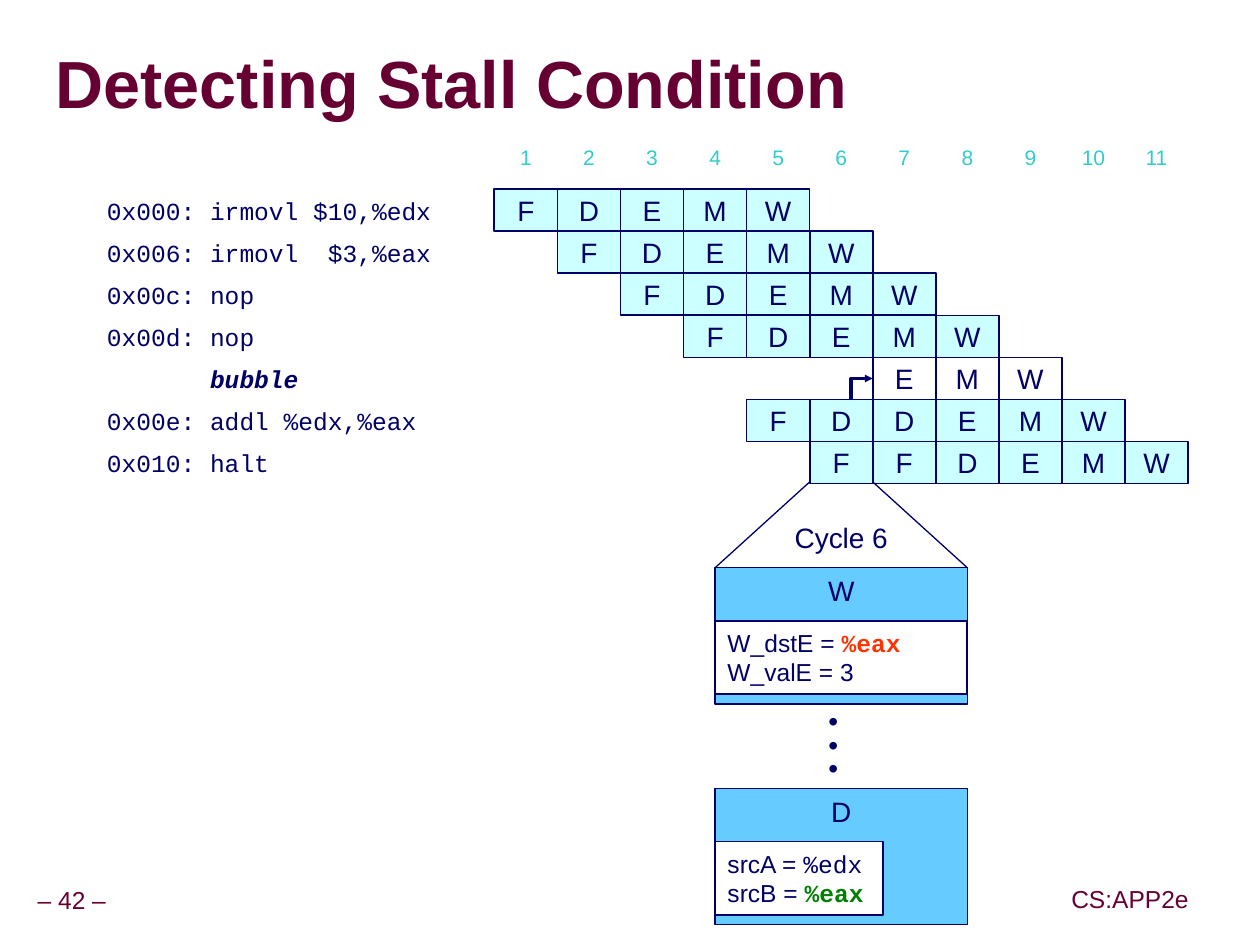
from dataclasses import dataclass

from lxml import etree
from pptx import Presentation
from pptx import util as u
from pptx.dml.color import RGBColor
from pptx.enum import shapes, text
from pptx.oxml import ns


@dataclass(frozen=True)
class Theme:
    heading: str = "660033"
    ink: str = "000066"
    cycle: str = "33CCCC"
    stage: str = "CCFFFF"
    panel: str = "66CCFF"
    paper: str = "FFFFFF"
    source_reg: str = "FF3300"
    target_reg: str = "008000"
    sans: str = "Arial"
    mono: str = "Courier New"
    title_size: int = 38
    stage_size: int = 16
    code_size: int = 14
    cycle_size: int = 12


THEME = Theme()
LEFT, CENTER = text.PP_ALIGN.LEFT, text.PP_ALIGN.CENTER
TOP, MIDDLE = text.MSO_ANCHOR.TOP, text.MSO_ANCHOR.MIDDLE


class PipelineSlide:
    def __init__(self, prs, theme):
        self.theme = theme
        self.slide = prs.slides.add_slide(prs.slide_layouts[6])

    def fill_text(self, holder, lines, size, color=None, font=None, align=LEFT,
                  anchor=MIDDLE, spacing=None, inset=None, wrap=False):
        """Each line is a list of (text, format overrides) runs."""
        frame = holder.text_frame
        frame_format = {"word_wrap": wrap, "vertical_anchor": anchor}
        if inset is not None:
            for side in ("left", "right", "top", "bottom"):
                frame_format[f"margin_{side}"] = u.Inches(inset)
        for key, value in frame_format.items():
            setattr(frame, key, value)
        for index, runs in enumerate(lines):
            para = frame.add_paragraph() if index else frame.paragraphs[0]
            para.alignment, para.line_spacing = align, spacing
            for words, changes in runs:
                run = para.add_run()
                run.text = words
                style = {"name": font or self.theme.sans, "size": u.Pt(size),
                         "bold": False, "color": color or self.theme.ink} | changes
                run.font.color.rgb = RGBColor.from_string(style.pop("color"))
                for key, value in style.items():
                    setattr(run.font, key, value)
        return holder

    def label(self, at, lines, size, **style):
        box = self.slide.shapes.add_textbox(*map(u.Inches, at))
        return self.fill_text(box, lines, size, **style)

    def outline(self, shape, width):
        shape.line.color.rgb = RGBColor.from_string(self.theme.ink)
        shape.line.width = u.Pt(width)

    def box(self, at, lines, size, fill=None, line=None, **style):
        rect = self.slide.shapes.add_shape(
            shapes.MSO_SHAPE.RECTANGLE, *map(u.Inches, at))
        rect.shadow.inherit = False
        if fill:
            rect.fill.solid()
            rect.fill.fore_color.rgb = RGBColor.from_string(fill)
        else:
            rect.fill.background()
        if line:
            self.outline(rect, line)
        else:
            rect.line.fill.background()
        return self.fill_text(rect, lines, size, **style)

    def line(self, start, end, width):
        ray = self.slide.shapes.add_connector(
            shapes.MSO_CONNECTOR.STRAIGHT, *map(u.Inches, start + end))
        self.outline(ray, width)
        etree.SubElement(ray._element.spPr, ns.qn("a:effectLst"))

    def bent_arrow(self, points, width):
        start, *rest = [tuple(map(u.Inches, point)) for point in points]
        builder = self.slide.shapes.build_freeform(*start)
        builder.add_line_segments(rest, close=False)
        arrow = builder.convert_to_shape()
        arrow.shadow.inherit = False
        arrow.fill.background()
        self.outline(arrow, width)
        outline = arrow._element.spPr.find(ns.qn("a:ln"))
        etree.SubElement(outline, ns.qn("a:tailEnd"),
                         type="triangle", w="sm", len="sm")

    def shadow_text(self, holder):
        fill = holder.text_frame.paragraphs[0].runs[0].font._element.find(
            ns.qn("a:solidFill"))
        effects = etree.Element(ns.qn("a:effectLst"))
        shadow = etree.SubElement(effects, ns.qn("a:outerShdw"),
                                  dist="50800", dir="2700000")
        etree.SubElement(shadow, ns.qn("a:srgbClr"), val="969696")
        fill.addnext(effects)


# Pipeline grid: one column per cycle, one row per instruction
GRID_LEFT, GRID_TOP, COL, ROW = 3.92, 1.5, 0.5, 1 / 3
CODE_LEFT, CODE_WIDTH = 0.75, 2.83
CYCLES = 11
BUBBLE = 4
PROGRAM = [  # code, first cycle, stages
    ("0x000: irmovl $10,%edx", 1, "FDEMW"),
    ("0x006: irmovl  $3,%eax", 2, "FDEMW"),
    ("0x00c: nop", 3, "FDEMW"),
    ("0x00d: nop", 4, "FDEMW"),
    ("       bubble", 7, "EMW"),
    ("0x00e: addl %edx,%eax", 5, "FDDEMW"),
    ("0x010: halt", 6, "FFDEMW"),
]


def cycle_x(cycle):
    return GRID_LEFT + COL * (cycle - 1)


def row_y(row):
    return GRID_TOP + ROW * row


def main():
    prs = Presentation()
    prs.slide_width, prs.slide_height = u.Inches(9.99), u.Inches(7.49)
    t = THEME
    page = PipelineSlide(prs, t)

    # Footer and title
    for at, words in (((0.24, 6.99, 0.66, 0.31), "– 42 –"),
                      ((8.44, 6.98, 1.04, 0.31), "CS:APP2e")):
        page.label(at, [[(words, {})]], t.code_size, color=t.heading,
                   align=CENTER, spacing=0.9, inset=0.05)
    title = page.label((0.44, 0.27, 9.52, 0.85),
                       [[("Detecting Stall Condition", {"bold": True})]],
                       t.title_size, color=t.heading, spacing=0.87,
                       inset=0, wrap=True)
    page.shadow_text(title)

    # Cycle numbers
    for cycle in range(1, CYCLES + 1):
        page.box((cycle_x(cycle), 1.08, COL, ROW), [[(str(cycle), {})]],
                 t.cycle_size, fill=t.paper, color=t.cycle, align=CENTER)

    # Instructions and their stages
    for row, (code, first, stages) in enumerate(PROGRAM):
        stalled = row == BUBBLE
        emphasis = {"bold": True, "italic": True} if stalled else {}
        page.box((CODE_LEFT, row_y(row), CODE_WIDTH, ROW), [[(code, emphasis)]],
                 t.code_size, fill=t.paper, font=t.mono)
        for cycle, stage in enumerate(stages, first):
            page.box((cycle_x(cycle), row_y(row), COL, ROW), [[(stage, {})]],
                     t.stage_size, fill=None if stalled else t.stage,
                     line=1, align=CENTER)

    # Bubble injected from the stalled decode stage
    page.bent_arrow([(6.75, row_y(5)), (6.75, row_y(4.5)),
                     (cycle_x(7), row_y(4.5))], 2.25)

    # Zoom into cycle 6
    panel_left, panel_width, panel_height = 5.67, 2, 1.08
    for cycle, corner in ((6, panel_left), (7, panel_left + panel_width)):
        page.line((cycle_x(cycle), 3.82), (corner, 4.5), 0.75)
    page.label((panel_left, 4.08, panel_width, 0.37), [[("Cycle 6", {})]],
               t.stage_size, align=CENTER, anchor=TOP, wrap=True)

    mono = {"name": t.mono}
    write_back = [[("W_dstE = ", {}),
                   ("%eax", mono | {"color": t.source_reg, "bold": True})],
                  [("W_valE = 3", {})]]
    decode = [[("srcA = ", {}), ("%edx", mono)],
              [("srcB = ", {}),
               ("%eax", mono | {"color": t.target_reg, "bold": True})]]
    for stage, top, signals, width in (("W", 4.5, write_back, panel_width),
                                       ("D", 6.25, decode, 1.33)):
        page.box((panel_left, top, panel_width, panel_height), [[(stage, {})]],
                 t.stage_size, fill=t.panel, line=0.75, align=CENTER, anchor=TOP)
        page.box((panel_left, top + 0.42, width, 0.58), signals,
                 t.code_size, fill=t.paper, line=1)

    # Stages left out between the panels
    page.label((6.47, 5.6, 0.28, 0.66), [[("•", {})]] * 3, t.stage_size,
               anchor=TOP, spacing=0.7)

    prs.save("out.pptx")


if __name__ == "__main__":
    main()
